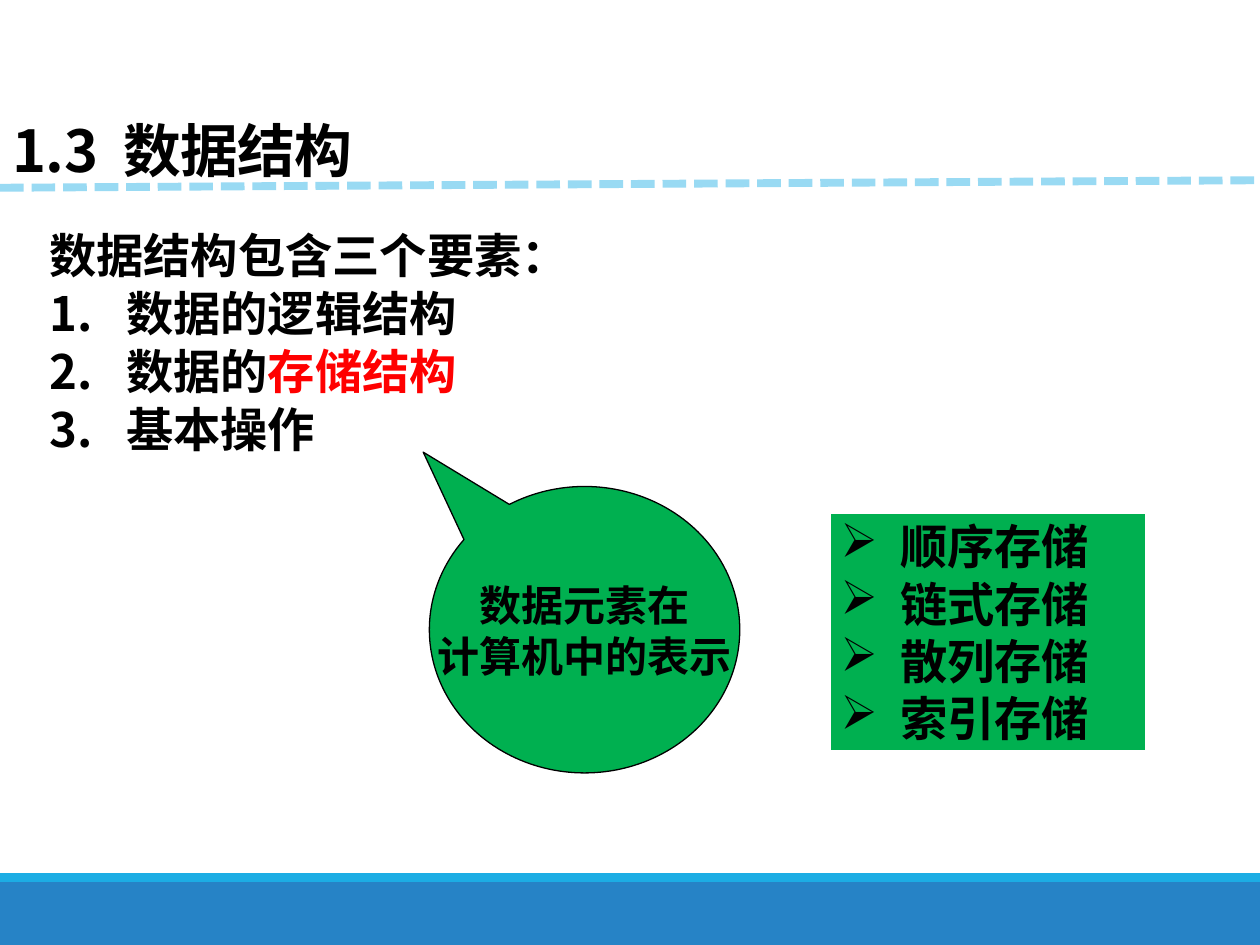
from dataclasses import dataclass

from lxml import etree
from pptx import Presentation
from pptx.dml.color import RGBColor
from pptx.enum import dml, shapes, text
from pptx.oxml import ns
from pptx.util import Pt

BLACK = RGBColor(0x00, 0x00, 0x00)
WHITE = RGBColor(0xFF, 0xFF, 0xFF)
RED = RGBColor(0xFF, 0x00, 0x00)
GREEN = RGBColor(0x00, 0xB0, 0x50)
BLUE = RGBColor(0x26, 0x83, 0xC6)
CYAN = RGBColor(0x1C, 0xAD, 0xE4)
PALE_BLUE = RGBColor(0x99, 0xDA, 0xF3)
FONT = "Noto Sans CJK SC"
LINE_FACTOR = 1.21


@dataclass
class Run:
    text: str
    color: RGBColor = BLACK
    spacing: float = 0


@dataclass
class Box:
    left: float
    top: float
    width: float
    height: float

    def lengths(self) -> list:
        return [Pt(v) for v in (self.left, self.top, self.width, self.height)]


def add_run(p, run: Run, size: float) -> None:
    r = p.add_run()
    r.text = run.text
    r.font.size, r.font.bold, r.font.name = Pt(size), True, FONT
    r.font.color.rgb = run.color
    rPr = r.font._element
    etree.SubElement(rPr, ns.qn("a:ea")).set("typeface", FONT)
    if run.spacing:
        rPr.set("spc", str(round(run.spacing * 100)))


def set_bullet(p, tag: str, indent: float, **attrs: str) -> None:
    pPr = p._p.get_or_add_pPr()
    pPr.set("marL", str(Pt(indent)))
    pPr.set("indent", str(-Pt(indent)))
    etree.SubElement(pPr, ns.qn(tag), attrs)


def write_lines(tf, lines: list[list[Run]], size: float) -> list:
    """Write one paragraph per list of runs and return the paragraphs."""
    paragraphs = []
    for i, runs in enumerate(lines):
        p = tf.add_paragraph() if i else tf.paragraphs[0]
        p.line_spacing = Pt(round(size * LINE_FACTOR, 1))
        for run in runs:
            add_run(p, run, size)
        paragraphs.append(p)
    return paragraphs


def add_filled(slide, kind, box: Box, fill: RGBColor,
               line: RGBColor | None = None, weight: float = 0):
    sp = slide.shapes.add_shape(kind, *box.lengths())
    sp.shadow.inherit = False
    sp.fill.solid()
    sp.fill.fore_color.rgb = fill
    if line is None:
        sp.line.fill.background()
    else:
        sp.line.color.rgb = line
        sp.line.width = Pt(weight)
    return sp


def main() -> None:
    prs = Presentation()
    prs.slide_width, prs.slide_height = Pt(720), Pt(540)
    slide = prs.slides.add_slide(prs.slide_layouts[5])

    # Footer bands
    rect = shapes.MSO_SHAPE.RECTANGLE
    add_filled(slide, rect, Box(0, 504, 720, 36), BLUE)
    add_filled(slide, rect, Box(0, 499, 720, 5), CYAN)

    # Title and dashed rule
    title = slide.shapes.title
    title.left, title.top, title.width, title.height = Box(0, 67.7, 720, 41).lengths()
    tf = title.text_frame
    tf.auto_size = text.MSO_AUTO_SIZE.NONE
    tf.vertical_anchor = text.MSO_ANCHOR.BOTTOM
    p = tf.paragraphs[0]
    p.alignment = text.PP_ALIGN.LEFT
    p.line_spacing = 0.85
    for run in (Run("1.3", spacing=-0.4), Run(" ", spacing=7), Run("数据结构", spacing=-0.4)):
        add_run(p, run, 33)

    rule = slide.shapes.add_connector(
        shapes.MSO_CONNECTOR.STRAIGHT, Pt(0), Pt(107.3), Pt(720), Pt(103))
    rule.line.color.rgb = PALE_BLUE
    rule.line.width = Pt(4.5)
    rule.line.dash_style = dml.MSO_LINE.SQUARE_DOT
    rule.line._ln.find(ns.qn("a:prstDash")).set("val", "sysDash")
    etree.SubElement(rule._element.spPr, ns.qn("a:effectLst"))

    # Three elements of a data structure
    tf = slide.shapes.add_textbox(*Box(21, 125.3, 336, 138.5).lengths()).text_frame
    tf.word_wrap = True
    elements = write_lines(tf, [
        [Run("数据结构包含三个要素：")],
        [Run("数据的逻辑结构")],
        [Run("数据的"), Run("存储结构", RED)],
        [Run("基本操作")],
    ], 27)
    for p in elements[1:]:
        p.space_before = Pt(0.4)
        set_bullet(p, "a:buAutoNum", 44, type="arabicPeriod")

    # Callout on storage structure
    callout = add_filled(slide, shapes.MSO_SHAPE.OVAL_CALLOUT,
                         Box(245.4, 278, 177.4, 163.7), GREEN, BLACK, 0.75)
    callout.adjustments[0], callout.adjustments[1] = -0.52, -0.62
    tf = callout.text_frame
    tf.word_wrap = False
    tf.vertical_anchor = text.MSO_ANCHOR.MIDDLE
    for p in write_lines(tf, [[Run("数据元素在")], [Run("计算机中的表示")]], 24):
        p.alignment = text.PP_ALIGN.CENTER

    # Storage methods
    methods = add_filled(slide, rect, Box(473.3, 292, 182.6, 138), GREEN, WHITE, 3)
    tf = methods.text_frame
    tf.word_wrap = True
    tf.vertical_anchor = text.MSO_ANCHOR.TOP
    names = ["顺序存储", "链式存储", "散列存储", "索引存储"]
    for p in write_lines(tf, [[Run(name)] for name in names], 27):
        p.alignment = text.PP_ALIGN.LEFT
        set_bullet(p, "a:buChar", 34, char="➢")

    prs.save("out.pptx")


if __name__ == "__main__":
    main()
